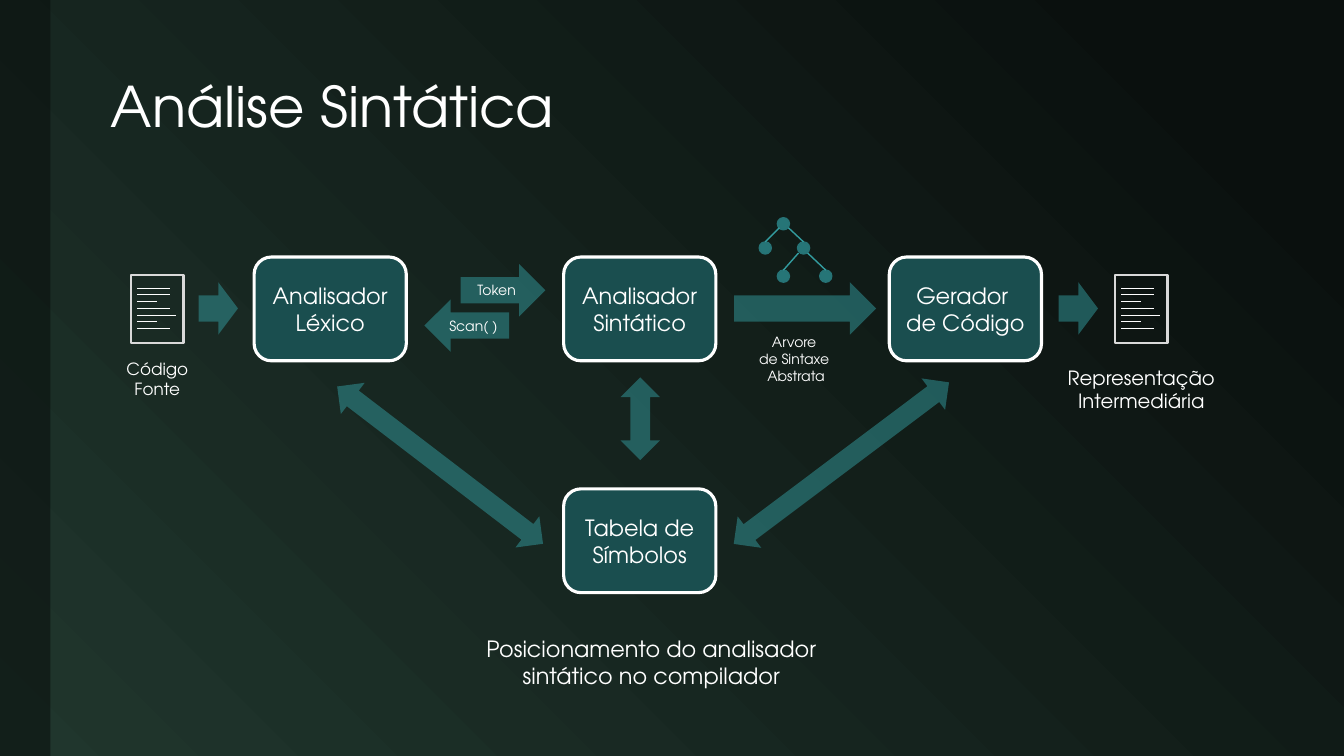
from dataclasses import dataclass
from typing import Optional

from lxml import etree
from pptx import Presentation
from pptx import util as u
from pptx.dml.color import RGBColor
from pptx.enum import shapes, text
from pptx.oxml.ns import qn

FONT = "TeX Gyre Adventor"
WHITE, TEAL, DARK = "FFFFFF", "339C9F", "0A100E"
KIND = shapes.MSO_SHAPE
ANCHOR = text.MSO_ANCHOR
Box = tuple[float, float, float, float]
Point = tuple[float, float]
Paras = tuple[tuple[str, ...], ...]


@dataclass
class Label:
    at: Box
    paras: Paras
    size: float
    wrap: bool = True


@dataclass
class Stage:
    left: float
    top: float
    paras: Paras


@dataclass
class Arrow:
    kind: KIND
    at: Box
    turn: float = 0
    paras: Paras = ()


LABELS = [
    Label((4.67, 6.25, 3.58, 0.64), (("Posicionamento do analisador sintático no compilador",),), 16),
    Label((1.15, 3.51, 0.82, 0.5), (("Código",), ("Fonte",)), 12, False),
    Label((7.42, 3.26, 0.95, 0.61), (("Arvore ", "de Sintaxe ", "Abstrata"),), 10, False),
    Label((10.46, 3.58, 1.72, 0.57), (("Representação Intermediária",),), 14),
]
STAGES = [
    Stage(2.52, 2.55, (("Analisador Léxico",),)),
    Stage(5.59, 2.55, (("Analisador Sintático",),)),
    Stage(8.82, 2.55, (("Gerador ", "de Código"),)),
    Stage(5.59, 4.85, (("Tabela de Símbolos",),)),
]
ARROWS = [
    Arrow(KIND.RIGHT_ARROW, (4.57, 2.62, 0.84, 0.52), paras=(("Token",),)),
    Arrow(KIND.LEFT_ARROW, (4.21, 2.97, 0.84, 0.52), paras=(("Scan( )",),)),
    Arrow(KIND.RIGHT_ARROW, (1.97, 2.8, 0.39, 0.52)),
    Arrow(KIND.RIGHT_ARROW, (7.28, 2.8, 1.41, 0.52)),
    Arrow(KIND.RIGHT_ARROW, (10.5, 2.8, 0.39, 0.52)),
    Arrow(KIND.LEFT_RIGHT_ARROW, (5.94, 3.96, 0.82, 0.39), 90),
    Arrow(KIND.LEFT_RIGHT_ARROW, (3.08, 4.42, 2.57, 0.39), 37.4),
    Arrow(KIND.LEFT_RIGHT_ARROW, (7.01, 4.4, 2.67, 0.39), 143.1),
]
PAGES = [1.3, 11.06]
ROWS = [0.33, 0.33, 0.2, 0.33, 0.39, 0.2, 0.33]
NODES = [(7.71, 2.16), (7.53, 2.4), (7.91, 2.4), (7.71, 2.68), (8.13, 2.68)]
EDGES = [
    ((7.82, 2.26), (7.97, 2.4)),
    ((7.73, 2.26), (7.59, 2.4)),
    ((8.01, 2.51), (8.19, 2.68)),
    ((7.77, 2.68), (7.92, 2.51)),
]


def color(value: str) -> RGBColor:
    return RGBColor.from_string(value)


def write(frame, paras: Paras, size: float, align=text.PP_ALIGN.CENTER) -> None:
    for i, lines in enumerate(paras):
        para = frame.paragraphs[0] if i == 0 else frame.add_paragraph()
        para.alignment = align
        for j, line in enumerate(lines):
            if j:
                para.add_line_break()
            run = para.add_run()
            run.text = line
            run.font.name = FONT
            run.font.size = u.Pt(size)
            run.font.color.rgb = color(WHITE)


def block(slide, kind: KIND, at: Box, fill: Optional[str] = None,
          line: Optional[str] = None, width: float = 1, alpha: int = 100):
    shape = slide.shapes.add_shape(kind, *map(u.Inches, at))
    shape.shadow.inherit = False
    if fill:
        shape.fill.solid()
        shape.fill.fore_color.rgb = color(fill)
        if alpha < 100:
            tint = shape.element.spPr.find(qn("a:solidFill")).find(qn("a:srgbClr"))
            etree.SubElement(tint, qn("a:alpha"), val=str(alpha * 1000))
    else:
        shape.fill.background()
    if line:
        shape.line.color.rgb = color(line)
        shape.line.width = u.Pt(width)
    else:
        shape.line.fill.background()
    return shape


def stroke(slide, start: Point, end: Point, line: str, width: float) -> None:
    link = slide.shapes.add_connector(
        shapes.MSO_CONNECTOR.STRAIGHT, *map(u.Inches, (*start, *end)))
    link.line.color.rgb = color(line)
    link.line.width = u.Pt(width)
    etree.SubElement(link.element.spPr, qn("a:effectLst"))


def paint(slide) -> None:
    fill = slide.background.fill
    fill.gradient()
    fill.gradient_angle = 225
    for stop, place, tone in zip(fill.gradient_stops, (0.1, 1), (DARK, "20362D")):
        stop.position = place
        stop.color.rgb = color(tone)
    block(slide, KIND.RECTANGLE, (0, 0, 0.5, 7.5), DARK, alpha=60)


def title(slide) -> None:
    frame = slide.shapes.add_textbox(*map(u.Inches, (1, 0.42, 11.65, 1.33))).text_frame
    frame.word_wrap = True
    frame.vertical_anchor = ANCHOR.MIDDLE
    write(frame, (("Análise Sintática",),), 40, text.PP_ALIGN.LEFT)
    frame.paragraphs[0].line_spacing = 0.9


def label(slide, item: Label) -> None:
    frame = slide.shapes.add_textbox(*map(u.Inches, item.at)).text_frame
    frame.word_wrap = item.wrap
    frame.auto_size = text.MSO_AUTO_SIZE.SHAPE_TO_FIT_TEXT
    write(frame, item.paras, item.size)


def stage(slide, item: Stage) -> None:
    shape = block(slide, KIND.ROUNDED_RECTANGLE, (item.left, item.top, 1.51, 1.03),
                  "1A4E4F", WHITE, 2.25)
    shape.text_frame.vertical_anchor = ANCHOR.MIDDLE
    write(shape.text_frame, item.paras, 16)


def arrow(slide, item: Arrow) -> None:
    shape = block(slide, item.kind, item.at, TEAL, alpha=50)
    shape.rotation = item.turn
    if item.paras:
        frame = shape.text_frame
        frame.margin_left = frame.margin_right = u.Inches(0.05)
        frame.vertical_anchor = ANCHOR.MIDDLE
        write(frame, item.paras, 10)


def page(slide, left: float) -> None:
    block(slide, KIND.RECTANGLE, (left, 2.73, 0.52, 0.67), line="D9D9D9", width=1.5)
    gap = 0.4 / (len(ROWS) - 1)
    for i, size in enumerate(ROWS):
        x, y = left + 0.06, 2.86 + i * gap
        stroke(slide, (x, y), (x + size, y), WHITE, 0.75)


def tree(slide) -> None:
    for x, y in NODES:
        block(slide, KIND.OVAL, (x, y, 0.12, 0.12), "267577", "267376")
    for start, end in EDGES:
        stroke(slide, start, end, TEAL, 1)


def main() -> None:
    deck = Presentation()
    deck.slide_width, deck.slide_height = u.Inches(13.33), u.Inches(7.5)
    slide = deck.slides.add_slide(deck.slide_layouts[6])
    paint(slide)
    title(slide)
    for item in LABELS:
        label(slide, item)
    for item in STAGES:
        stage(slide, item)
    for item in ARROWS:
        arrow(slide, item)
    for left in PAGES:
        page(slide, left)
    tree(slide)
    deck.save("out.pptx")


if __name__ == "__main__":
    main()
